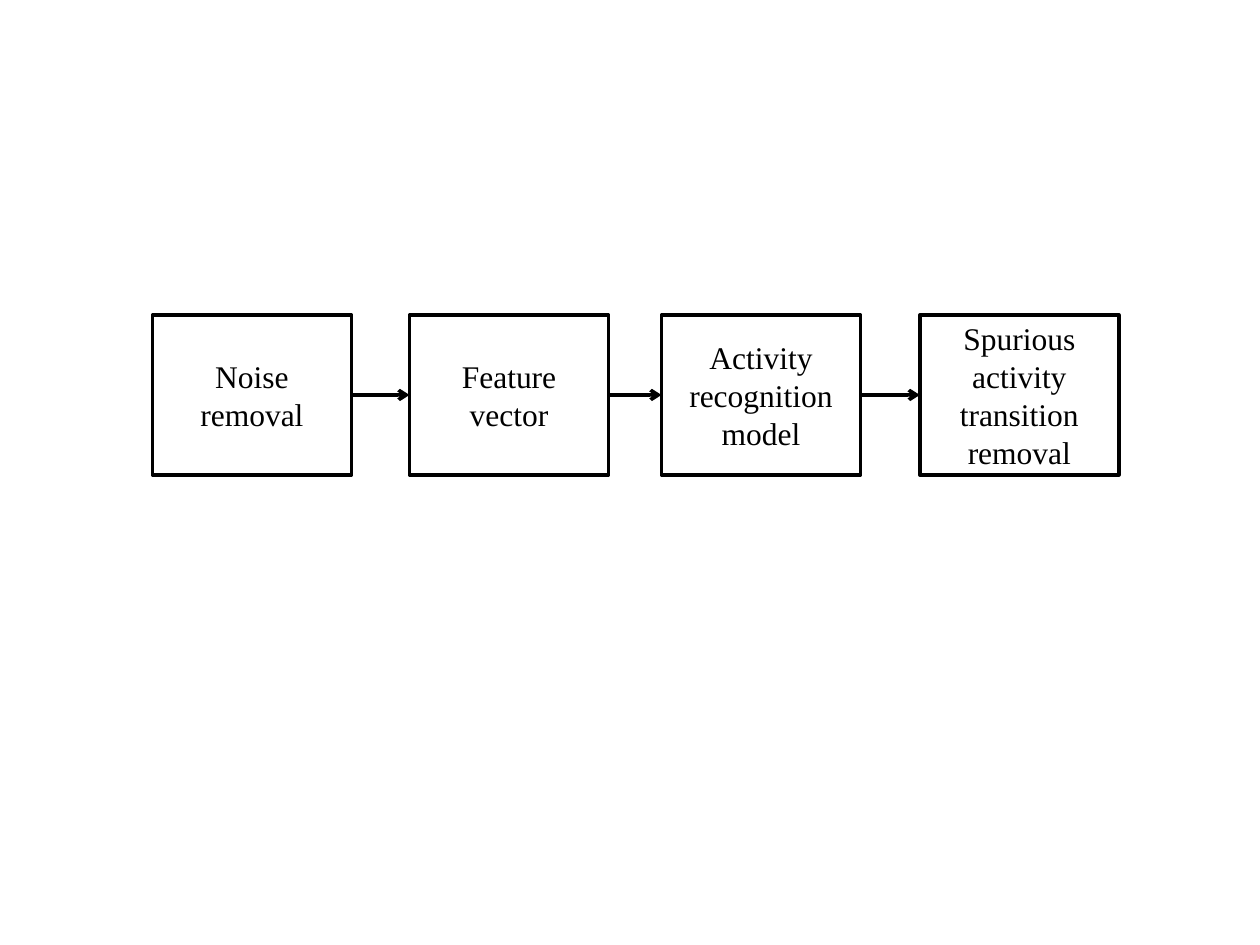
"""Build a slide showing the four stages of an activity recognition pipeline."""
from itertools import pairwise

from lxml.etree import SubElement
from pptx import Presentation
from pptx.dml.color import RGBColor
from pptx.enum.shapes import MSO_CONNECTOR as Connector, MSO_SHAPE as Shape
from pptx.enum.text import MSO_ANCHOR as Anchor, PP_ALIGN as Align
from pptx.oxml.ns import qn
from pptx.util import Inches, Pt


def color(value):
    return RGBColor.from_string(value)


BLACK = "000000"
WHITE = "FFFFFF"
TOP, WIDTH, HEIGHT = 2.5, 1.58, 1.27
STAGES = [
    (1.21, ["Noise removal"]),
    (3.25, ["Feature vector"]),
    (5.25, ["Activity recognition model"]),
    (7.3, ["Spurious activity transition", "removal"]),
]

deck = Presentation()
deck.slide_width = Inches(10)
deck.slide_height = Inches(7.5)
slide = deck.slides.add_slide(deck.slide_layouts[6])

stages = []
for left, lines in STAGES:
    stage = slide.shapes.add_shape(
        Shape.RECTANGLE, Inches(left), Inches(TOP), Inches(WIDTH), Inches(HEIGHT)
    )
    stage.shadow.inherit = False
    stage.fill.solid()
    stage.fill.fore_color.rgb = color(WHITE)
    stage.line.color.rgb = color(BLACK)
    stage.line.width = Pt(2)
    label = stage.text_frame
    label.word_wrap = True
    label.vertical_anchor = Anchor.MIDDLE
    for index, line in enumerate(lines):
        paragraph = label.add_paragraph() if index else label.paragraphs[0]
        paragraph.alignment = Align.CENTER
        run = paragraph.add_run()
        run.text = line
        run.font.name = "Times New Roman"
        run.font.size = Pt(18)
        run.font.color.rgb = color(BLACK)
    stages.append(stage)

for source, target in pairwise(stages):
    arrow = slide.shapes.add_connector(Connector.STRAIGHT, 0, 0, 0, 0)
    arrow.begin_connect(source, 3)
    arrow.end_connect(target, 1)
    arrow.line.color.rgb = color(BLACK)
    arrow.line.width = Pt(2)
    SubElement(arrow.line._get_or_add_ln(), qn("a:tailEnd"), type="arrow")
    SubElement(arrow._element.spPr, qn("a:effectLst"))

deck.save("out.pptx")
